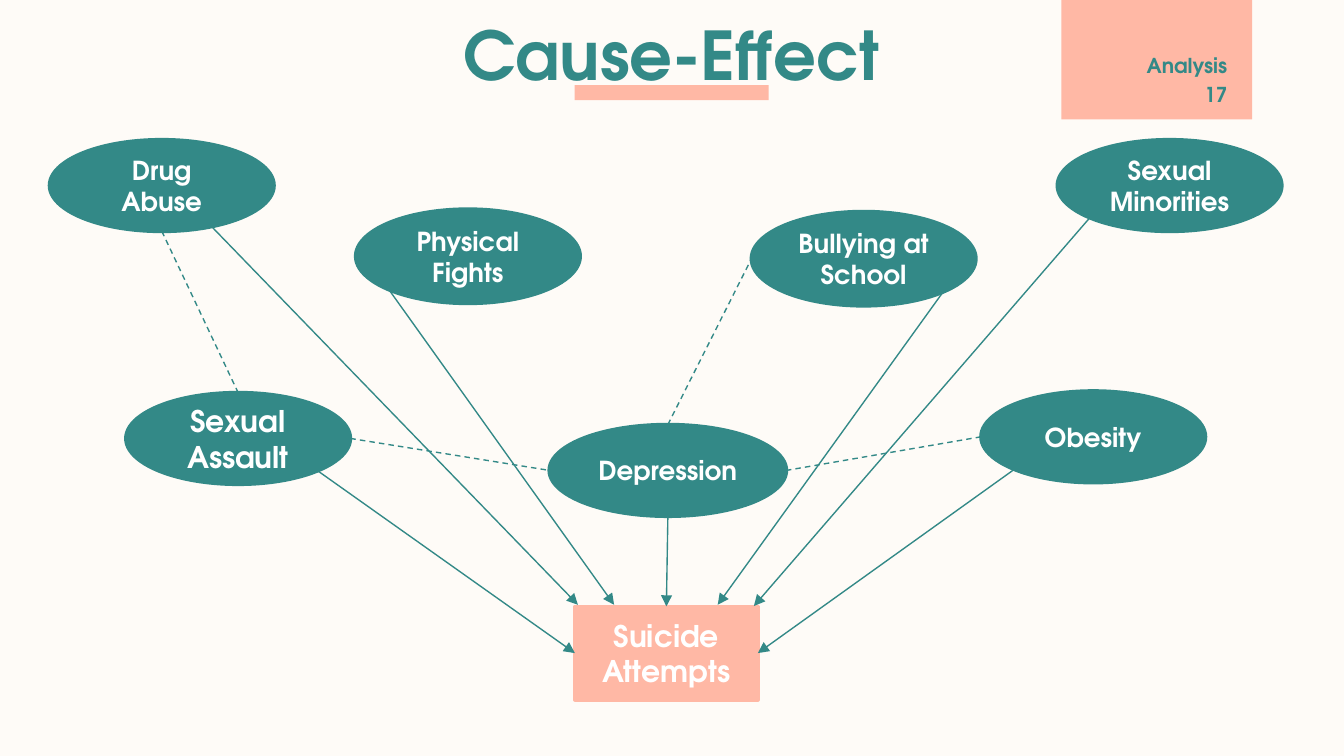
import pptx
import pptx.util
import pptx.dml.color
import pptx.enum.dml
import pptx.enum.shapes
import pptx.enum.text
import pptx.oxml.ns
from lxml import etree

Pt = pptx.util.Pt
SHAPE = pptx.enum.shapes.MSO_SHAPE
ALIGN = pptx.enum.text.PP_ALIGN
ANCHOR = pptx.enum.text.MSO_ANCHOR
COLORS = {"cream": "FEFBF7", "teal": "338987", "coral": "FFB8A5", "white": "FFFFFF"}
FONT = "TeX Gyre Adventor"


class Diagram:
    """Draws styled elements on the current slide, with lengths in points."""

    def __init__(self, slide):
        self.s = slide
        fill = slide.background.fill
        fill.solid()
        fill.fore_color.rgb = self.color("cream")

    def color(self, name):
        return pptx.dml.color.RGBColor.from_string(COLORS[name])

    def label(self, sp, text, size, color, align, anchor, inset):
        tf = sp.text_frame
        tf.word_wrap = True
        tf.vertical_anchor = anchor
        tf.margin_left = tf.margin_right = Pt(inset)
        p = tf.paragraphs[0]
        p.text = text
        p.alignment = align
        p.font.name = FONT
        p.font.size = Pt(size)
        p.font.bold = True
        p.font.color.rgb = self.color(color)

    def text(self, box, text, size, align, anchor):
        sp = self.s.shapes.add_textbox(*map(Pt, box))
        sp.text_frame.margin_top = sp.text_frame.margin_bottom = Pt(7.2)
        self.label(sp, text, size, "teal", align, anchor, 7.2)

    def block(self, kind, box, fill, outline=0):
        sp = self.s.shapes.add_shape(kind, *map(Pt, box))
        sp.shadow.inherit = False
        sp.fill.solid()
        sp.fill.fore_color.rgb = self.color(fill)
        if outline:
            sp.line.color.rgb = self.color(fill)
            sp.line.width = Pt(outline)
        else:
            sp.line.fill.background()
        return sp

    def node(self, kind, box, text, size, fill="teal"):
        sp = self.block(kind, box, fill, 2)
        self.label(sp, text, size, "white", ALIGN.CENTER, ANCHOR.MIDDLE, 5)
        return sp

    def line(self, start, end):
        cx = self.s.shapes.add_connector(
            pptx.enum.shapes.MSO_CONNECTOR.STRAIGHT, *map(Pt, start + end))
        cx.line.color.rgb = self.color("teal")
        cx.line.width = Pt(0.75)
        etree.SubElement(cx._element.spPr, pptx.oxml.ns.qn("a:effectLst"))
        return cx

    def arrow(self, start, end, target=None, site=0):
        cx = self.line(start, end)
        ln = cx.line._get_or_add_ln()
        etree.SubElement(ln, pptx.oxml.ns.qn("a:tailEnd"), type="triangle")
        if target is not None:
            cx.end_connect(target, site)

    def dashed(self, start, end):
        self.line(start, end).line.dash_style = pptx.enum.dml.MSO_LINE.DASH


def main():
    prs = pptx.Presentation()
    prs.slide_width, prs.slide_height = Pt(720), Pt(405)
    d = Diagram(prs.slides.add_slide(prs.slide_layouts[6]))

    d.block(SHAPE.RECTANGLE, (568.6, 0, 102.2, 64), "coral")
    d.text((621.4, 37.4, 43.2, 31), "17", 11, ALIGN.RIGHT, ANCHOR.TOP)
    d.text((438.5, 10, 226.1, 38.2), "Analysis", 11, ALIGN.RIGHT, ANCHOR.BOTTOM)
    d.text((90, 14.4, 539.3, 28.8), "Cause-Effect", 36, ALIGN.CENTER, ANCHOR.MIDDLE)
    d.block(SHAPE.RECTANGLE, (307.8, 45.7, 104, 8), "coral")

    effect = d.node(SHAPE.RECTANGLE, (308, 324.9, 98, 50), "Suicide Attempts", 16, "coral")

    causes = [
        ("Drug Abuse", 26.6, 74.9, 120.2, 49, 14),
        ("Sexual Minorities", 566.5, 74.9, 120.2, 49, 14),
        ("Depression", 294.3, 227.5, 127, 49, 14),
        ("Bullying at School", 402.6, 113.4, 120.2, 50.4, 14),
        ("Physical Fights", 190.6, 112.1, 120.2, 50.4, 14),
        ("Sexual Assault", 67.5, 210.4, 120.2, 49, 16),
        ("Obesity", 525.6, 209.5, 120.2, 49, 14),
    ]
    for name, x, y, w, h, size in causes:
        d.node(SHAPE.OVAL, (x, y, w, h), name, size)

    d.arrow((110.2, 118.1), (309.6, 324))
    d.arrow((169.9, 252), (308, 349.9), effect, 1)
    d.arrow((208.1, 154.8), (329, 324))
    d.arrow((357.8, 276.5), (357, 324.9), effect, 0)
    d.arrow((505.4, 156.2), (384.5, 324))
    d.arrow((583.9, 116.6), (403.9, 324.7))
    d.arrow((543.6, 251.3), (406, 349.9), effect, 3)

    d.dashed((187.7, 234.9), (294.3, 252))
    d.dashed((357.8, 227.5), (402.6, 138.6))
    d.dashed((525.6, 234), (421.3, 252))
    d.dashed((86.7, 123.9), (127.6, 210.4))

    prs.save("out.pptx")


if __name__ == "__main__":
    main()
